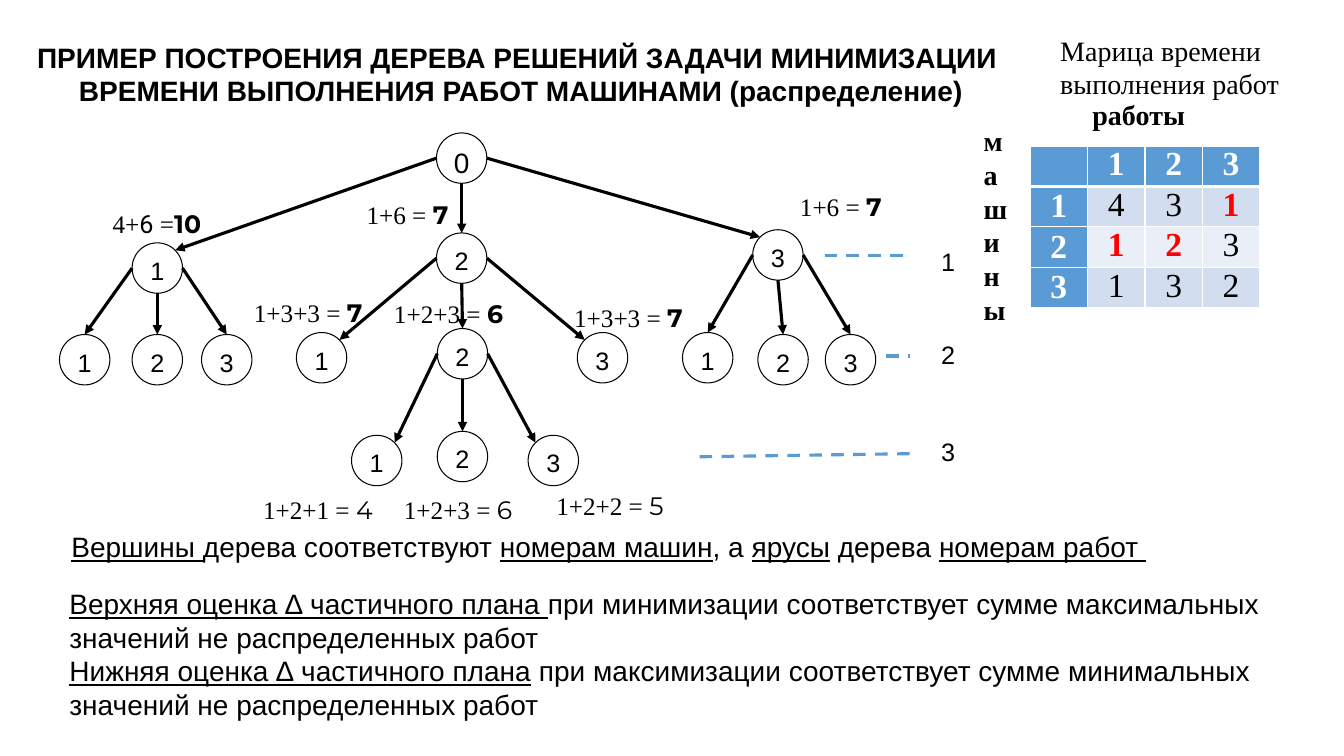
from lxml import etree
from pptx import Presentation
from pptx.dml.color import RGBColor
from pptx.enum.dml import MSO_LINE
from pptx.enum.shapes import MSO_CONNECTOR, MSO_SHAPE
from pptx.enum.text import MSO_ANCHOR, MSO_AUTO_SIZE, PP_ALIGN
from pptx.oxml.ns import qn
from pptx.util import Cm, Pt

BLACK = RGBColor(0, 0, 0)
WHITE = RGBColor(255, 255, 255)
RED = RGBColor(255, 0, 0)
BLUE = RGBColor(0x5B, 0x9B, 0xD5)
BANDS = RGBColor(0xD2, 0xDE, 0xEF), RGBColor(0xEA, 0xEF, 0xF7)
CENTER, JUSTIFY = PP_ALIGN.CENTER, PP_ALIGN.JUSTIFY
TOP, MIDDLE = MSO_ANCHOR.TOP, MSO_ANCHOR.MIDDLE
GROW = MSO_AUTO_SIZE.SHAPE_TO_FIT_TEXT
OVAL, STRAIGHT, DASH = MSO_SHAPE.OVAL, MSO_CONNECTOR.STRAIGHT, MSO_LINE.DASH
SANS, SERIF, ACCENT, ROUND = "Arial", "Times New Roman", "Montserrat", "Roboto"

DIAMETER = 1.27
NODES = {
    "": (9.5, 0), "1": (1.83, 2.77), "2": (9.5, 2.52), "3": (17.47, 2.44),
    "11": (0, 5.08), "12": (1.83, 5.08), "13": (3.58, 5.08),
    "21": (5.97, 5.03), "22": (9.52, 4.93), "23": (13.05, 5.03),
    "31": (15.7, 5.03), "32": (17.6, 5.08), "33": (19.3, 5.08),
    "221": (7.36, 7.62), "222": (9.52, 7.52), "223": (11.81, 7.62),
}
OPTIMAL_PATH = "", "2", "22"
ESTIMATES = [
    (7.49, 1.43, 2.62, "1+6 = ", "7", True),
    (18.41, 1.22, 2.62, "1+6 = ", "7", True),
    (4.65, 3.91, 3.3, "1+3+3 = ", "7", True),
    (8.18, 3.94, 3.3, "1+2+3 = ", "6", True),
    (12.72, 4.04, 3.3, "1+3+3 = ", "7", True),
    (4.88, 8.87, 3.3, "1+2+1 = ", "4", False),
    (8.43, 8.87, 3.3, "1+2+3 = ", "6", False),
    (12.27, 8.77, 3.3, "1+2+2 = ", "5", False),
]
TIERS = [
    (3.15, 0.36, 5.31, 0.36, 0),
    (4.7, 2.9, 5.31, 2.9, 2.36),
    (0, 5.44, 5.41, 5.36, 4.8),
]
TIMES = [[4, 3, 1], [1, 2, 3], [1, 3, 2]]
MINIMAL = (0, 2), (1, 0), (1, 1)


def write(p, runs, size, font, color=BLACK, align=None):
    p.alignment = align
    for text, changes in runs:
        r = p.add_run()
        r.text = text
        r.font.color.rgb = color
        for name, value in {"size": Pt(size), "name": font, **changes}.items():
            setattr(r.font, name, value)


def text_box(s, x, y, w, h, paragraphs, size, font, align=None, wrap=False, **spacing):
    tf = s.shapes.add_textbox(Cm(x), Cm(y), Cm(w), Cm(h)).text_frame
    tf.word_wrap = wrap
    tf.auto_size = GROW
    for i, runs in enumerate(paragraphs):
        p = tf.add_paragraph() if i else tf.paragraphs[0]
        write(p, runs, size, font, align=align)
        for name, value in spacing.items():
            setattr(p, name, value)


def line(s, x1, y1, x2, y2, color):
    c = s.shapes.add_connector(STRAIGHT, Cm(x1), Cm(y1), Cm(x2), Cm(y2))
    c.line.color.rgb = color
    c.line.width = Pt(2.25)
    etree.SubElement(c._element.spPr, qn("a:effectLst"))
    return c


def node(s, x, y, label, size):
    sp = s.shapes.add_shape(OVAL, Cm(x), Cm(y), Cm(DIAMETER), Cm(DIAMETER))
    sp.shadow.inherit = False
    sp.fill.solid()
    sp.fill.fore_color.rgb = WHITE
    sp.line.color.rgb = BLACK
    sp.line.width = Pt(0.75)
    sp.text_frame.vertical_anchor = TOP
    write(sp.text_frame.paragraphs[0], [(label, {})], size, SANS, align=CENTER)


def edge(s, x, y, key):
    parent, branch = key[:-1], int(key[-1]) - 1
    r = DIAMETER / 2
    px, py = (a + b + r for a, b in zip((x, y), NODES[parent]))
    cx, cy = (a + b + r for a, b in zip((x, y), NODES[key]))
    side = branch - 1
    start_y = py if side else py + r
    if side and parent in OPTIMAL_PATH:
        reach = r * 0.5 ** 0.5
        end = cx - side * reach, cy - reach
    else:
        end = cx, cy - r
    c = line(s, px + side * r, start_y, *end, BLACK)
    etree.SubElement(c.line._get_or_add_ln(), qn("a:tailEnd"), type="triangle")


def tree(s, x, y):
    for key, (dx, dy) in NODES.items():
        node(s, x + dx, y + dy, key[-1:] or "0", 18 if key else 20)
    for key in NODES:
        if key:
            edge(s, x, y, key)
    spacing = {"line_spacing": 1.15, "space_after": Pt(10)}
    first = [("4+", {}), ("6", {"name": ROUND}), (" =", {}),
             ("10", {"name": ACCENT, "bold": True})]
    text_box(s, x + 1.09, y + 1.65, 2.92, 1.09, [first], 18, SERIF, **spacing)
    for dx, dy, w, total, value, bold in ESTIMATES:
        runs = [(total, {}), (value, {"name": ACCENT, "bold": bold})]
        text_box(s, x + dx, y + dy, w, 1.09, [runs], 18, SERIF, **spacing)


def tiers(s, x, y):
    for number, (x1, y1, x2, y2, top) in enumerate(TIERS, 1):
        c = line(s, x + x1, y + y1, x + x2, y + y2, BLUE)
        c.line.dash_style = DASH
        text_box(s, x + 5.84, y + top, 0.86, 1.02, [[(str(number), {})]], 18, SANS)


def borders(cell, row):
    widths = {"lnL": 1, "lnR": 1, "lnT": 3 if row == 1 else 1, "lnB": 1 if row else 3}
    for i, (tag, width) in enumerate(widths.items()):
        ln = etree.Element(qn("a:" + tag), w=str(Pt(width)))
        fill = etree.SubElement(ln, qn("a:solidFill"))
        etree.SubElement(fill, qn("a:srgbClr"), val=str(WHITE))
        cell._tc.get_or_add_tcPr().insert(i, ln)


def time_table(s, x, y, w, h):
    table = s.shapes.add_table(4, 4, Cm(x), Cm(y), Cm(w), Cm(h)).table
    for i in range(4):
        table.rows[i].height = Cm(h / 4)
        table.columns[i].width = Cm(w / 4)
        for j in range(4):
            cell = table.cell(i, j)
            header = i == 0 or j == 0
            minimal = (i - 1, j - 1) in MINIMAL
            cell.fill.solid()
            cell.fill.fore_color.rgb = BLUE if header else BANDS[(i - 1) % 2]
            borders(cell, i)
            if i == j == 0:
                continue
            margins = {"margin_left": Cm(0.18), "margin_right": Cm(0.18),
                       "margin_top": 0, "margin_bottom": 0,
                       "vertical_anchor": TOP if j else MIDDLE}
            for name, value in margins.items():
                setattr(cell, name, value)
            value = i + j if header else TIMES[i - 1][j - 1]
            color = WHITE if header else RED if minimal else BLACK
            write(cell.text_frame.paragraphs[0],
                  [(str(value), {"bold": header or minimal})], 24, SERIF, color, CENTER)


def matrix(s, x, y):
    bold = {"bold": True}
    caption = [[("Марица времени", {})], [("выполнения работ", {})]]
    time_table(s, x + 1.42, y + 2.97, 5.79, 4.06)
    text_box(s, x + 1.93, y, 6.07, 1.96, caption, 20, SERIF)
    text_box(s, x + 2.74, y + 1.63, 2.87, 1.12, [[("работы", bold)]], 20, SERIF)
    text_box(s, x, y + 2.29, 1.27, 6.15, [[(c, bold)] for c in "машины"],
             20, SERIF, JUSTIFY, True)


def title(s, x, y, w, h):
    lines = ("ПРИМЕР ПОСТРОЕНИЯ ДЕРЕВА РЕШЕНИЙ ЗАДАЧИ МИНИМИЗАЦИИ ",
             "ВРЕМЕНИ ВЫПОЛНЕНИЯ РАБОТ МАШИНАМИ (распределение)")
    text_box(s, x, y, w, h, [[(t, {"bold": True})] for t in lines], 20, SANS, CENTER)


def explanation(s, x, y, w):
    under = {"underline": True}
    vertices = [("Вершины ", under), ("дерева соответствуют ", {}),
                ("номерам машин", under), (", а ", {}), ("ярусы", under),
                (" дерева ", {}), ("номерам работ ", under)]
    bounds = [
        [("Верхняя оценка ∆ частичного плана ", under),
         ("при минимизации соответствует сумме максимальных "
          "значений не распределенных работ", {})],
        [("Нижняя оценка ∆ частичного плана", under),
         (" при максимизации соответствует сумме минимальных "
          "значений не распределенных работ", {})],
    ]
    text_box(s, x + 0.05, y, w - 3.28, 1.12, [vertices], 20, SANS, wrap=True)
    text_box(s, x, y + 1.43, w, 3.68, bounds, 20, SANS, wrap=True)


def main():
    prs = Presentation()
    prs.slide_width, prs.slide_height = Cm(33.87), Cm(19.05)
    s = prs.slides.add_slide(prs.slide_layouts[6])
    tree(s, 1.5, 3.35)
    tiers(s, 17.63, 6.07)
    matrix(s, 24.54, 0.71)
    title(s, 0.58, 0.89, 25.1, 1.96)
    explanation(s, 1.5, 13.23, 31.04)
    prs.save("out.pptx")


if __name__ == "__main__":
    main()
